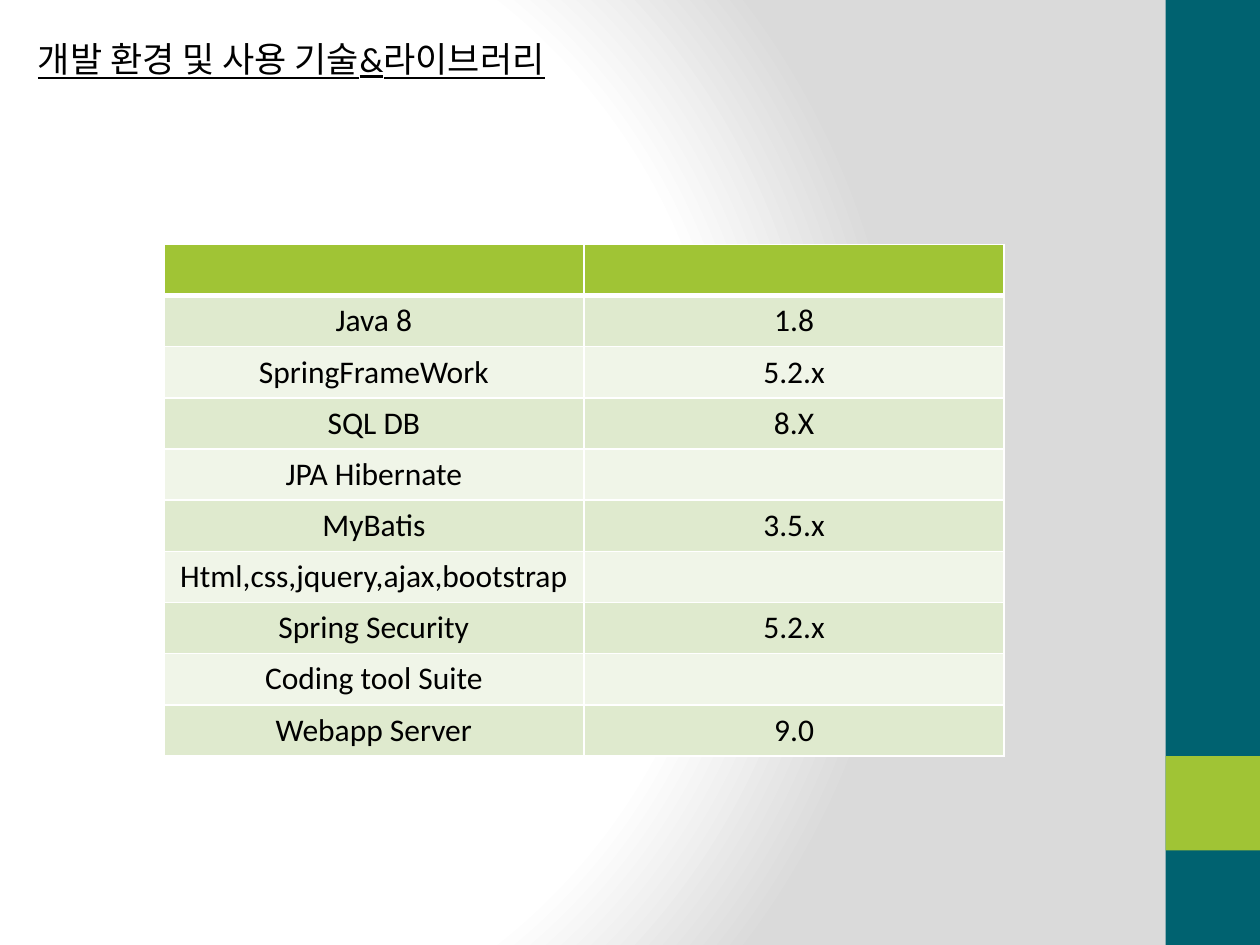
from pptx import Presentation
from pptx.dml.color import RGBColor
from pptx.enum.shapes import MSO_SHAPE
from pptx.enum.text import MSO_ANCHOR, MSO_AUTO_SIZE, PP_ALIGN
from pptx.oxml import parse_xml
from pptx.oxml.ns import nsdecls
from pptx.util import Inches, Pt

COLORS = {
    "white": "FFFFFF",
    "gray": "DADADA",
    "teal": "006270",
    "green": "A0C435",
    "band_dark": "DFEACE",
    "band_light": "F0F5E8",
    "text": "000000",
}
FONT = "Calibri"
TITLE = "개발 환경 및 사용 기술&라이브러리"
TECHNOLOGIES = [
    ("", ""),
    ("Java 8", "1.8"),
    ("SpringFrameWork", "5.2.x"),
    ("SQL DB", "8.X"),
    ("JPA Hibernate", ""),
    ("MyBatis", "3.5.x"),
    ("Html,css,jquery,ajax,bootstrap", ""),
    ("Spring Security", "5.2.x"),
    ("Coding tool Suite", ""),
    ("Webapp Server", "9.0"),
]


def color(name):
    return RGBColor.from_string(COLORS[name])


def set_background(slide):
    stops = [(0, "white"), (75, "white"), (100, "gray")]
    stop_xml = "".join(
        f'<a:gs pos="{position * 1000}"><a:srgbClr val="{COLORS[name]}"/></a:gs>'
        for position, name in stops
    )
    gradient = parse_xml(
        f'<a:gradFill {nsdecls("a")} rotWithShape="1"><a:gsLst>{stop_xml}</a:gsLst>'
        '<a:path path="circle"><a:fillToRect l="20000" t="50000" r="100000" b="50000"/>'
        "</a:path></a:gradFill>"
    )
    slide.background.fill.solid()
    properties = slide.element.cSld.get_or_add_bgPr()
    properties.replace(properties[0], gradient)


def add_block(slide, left, top, width, height, fill):
    shape = slide.shapes.add_shape(
        MSO_SHAPE.RECTANGLE, Inches(left), Inches(top), Inches(width), Inches(height)
    )
    shape.shadow.inherit = False
    shape.fill.solid()
    shape.fill.fore_color.rgb = color(fill)
    shape.line.fill.background()


def write_text(text_frame, text, size=18, align=PP_ALIGN.LEFT, underline=None):
    paragraph = text_frame.paragraphs[0]
    paragraph.alignment = align
    paragraph.font.size = Pt(size)
    if not text:
        return
    run = paragraph.add_run()
    run.text = text
    run.font.name = FONT
    run.font.size = Pt(size)
    run.font.bold = False
    run.font.underline = underline
    run.font.color.rgb = color("text")


def place_title(slide):
    title = slide.shapes.title
    title.left, title.top = Inches(0.2), Inches(0.25)
    title.width, title.height = Inches(4.57), Inches(0.44)
    text_frame = title.text_frame
    text_frame.word_wrap = False
    text_frame.auto_size = MSO_AUTO_SIZE.SHAPE_TO_FIT_TEXT
    text_frame.vertical_anchor = MSO_ANCHOR.TOP
    write_text(text_frame, TITLE, size=20, underline=True)


def set_borders(cell, bottom=1):
    # Borders come before the fill in the cell properties
    properties = cell._tc.get_or_add_tcPr()
    widths = {"lnL": 1, "lnR": 1, "lnT": 1, "lnB": bottom}
    for index, (side, width) in enumerate(widths.items()):
        border = parse_xml(
            f'<a:{side} {nsdecls("a")} w="{Pt(width)}"><a:solidFill>'
            f'<a:srgbClr val="{COLORS["white"]}"/></a:solidFill></a:{side}>'
        )
        properties.insert(index, border)


def add_technology_table(slide):
    table = slide.shapes.add_table(
        len(TECHNOLOGIES), 2, Inches(1.3), Inches(1.94), Inches(6.67), Inches(4.06)
    ).table
    for row_index, values in enumerate(TECHNOLOGIES):
        is_header = row_index == 0
        band = "band_dark" if row_index % 2 else "band_light"
        for column_index, text in enumerate(values):
            cell = table.cell(row_index, column_index)
            cell.fill.solid()
            cell.fill.fore_color.rgb = color("green" if is_header else band)
            set_borders(cell, bottom=3 if is_header else 1)
            write_text(cell.text_frame, text, align=PP_ALIGN.CENTER)
    # The rule under the header is shared with the first body row
    for cell in table.rows[1].cells:
        cell._tc.tcPr.find(f"{{{cell._tc.nsmap['a']}}}lnT").set("w", str(Pt(3)))


def main():
    presentation = Presentation()
    presentation.slide_width, presentation.slide_height = Inches(10), Inches(7.5)
    slide = presentation.slides.add_slide(presentation.slide_layouts[5])
    set_background(slide)

    # Side band with accent square
    add_block(slide, 9.25, 0, 0.75, 7.5, "teal")
    add_block(slide, 9.25, 6, 0.75, 0.75, "green")

    # Title and technology versions
    place_title(slide)
    add_technology_table(slide)
    presentation.save("out.pptx")


if __name__ == "__main__":
    main()
